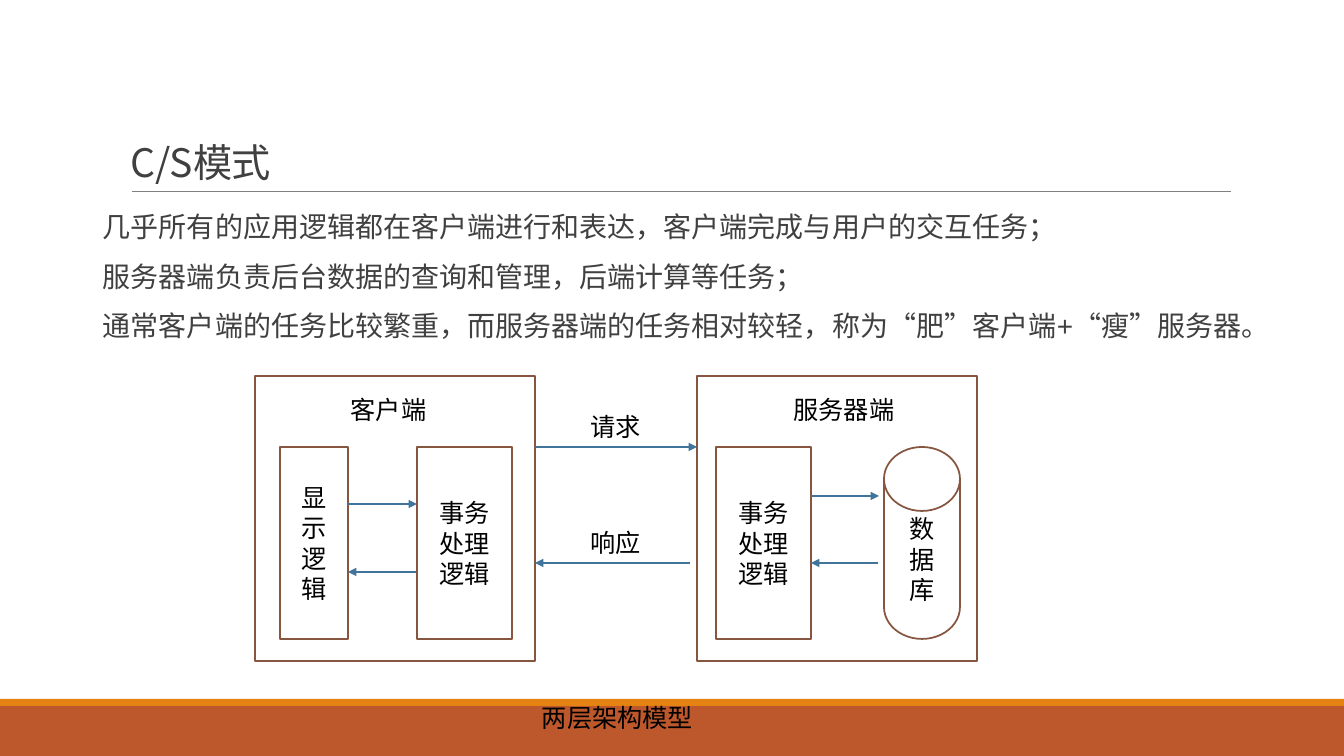
"""Builds the slide on the two-tier C/S model."""
import lxml.etree
import pptx
import pptx.util
import pptx.dml.color
import pptx.enum.shapes
import pptx.enum.text
import pptx.oxml.ns

WIDE, HIGH = 1344, 756
SCALE = 914400 / 100.8
CJK = "Noto Sans CJK SC"
HUES = {"bar": "BD582C", "strip": "E48312", "rule": "808080", "edge": "865640",
        "arrow": "40749B", "text": "404040", "black": "000000", "white": "FFFFFF"}

TITLE = "C/S模式"
BODY = [
    "几乎所有的应用逻辑都在客户端进行和表达，客户端完成与用户的交互任务；",
    "服务器端负责后台数据的查询和管理，后端计算等任务；",
    "通常客户端的任务比较繁重，而服务器端的任务相对较轻，称为“肥”客户端+“瘦”服务器。",
]
BARS = [("bar", 706, 50), ("strip", 699, 7)]
FRAMES = [255, 697]
BOXES = [("显示逻辑", 280, 68, "RECTANGLE"), ("事务处理逻辑", 417, 95, "RECTANGLE"),
         ("事务处理逻辑", 716, 95, "RECTANGLE"),
         ("数\n据\n库", 884, 76, "FLOWCHART_MAGNETIC_DISK")]
ARROWS = [(348, 417, 504), (416, 348, 572), (811, 879, 496),
          (878, 811, 563), (535, 697, 447), (690, 535, 563)]
LABELS = [("客户端", 340, 389, 97), ("服务器端", 783, 389, 122),
          ("请求", 580, 406, 71), ("响应", 580, 522, 71),
          ("两层架构模型", 531, 697, 173)]

deck = pptx.Presentation()
KIND = pptx.enum.shapes.MSO_SHAPE
ALIGN = pptx.enum.text.PP_ALIGN
ANCHOR = pptx.enum.text.MSO_ANCHOR
qn = pptx.oxml.ns.qn


def px(n):
    return pptx.util.Emu(round(n * SCALE))


def hue(name):
    return pptx.dml.color.RGBColor.from_string(HUES[name])


deck.slide_width, deck.slide_height = px(WIDE), px(HIGH)
slide = deck.slides.add_slide(deck.slide_layouts[6])
shapes = slide.shapes


def style(frame, size, color, font=CJK, align=ALIGN.LEFT):
    for para in frame.paragraphs:
        para.alignment = align
        for run in para.runs:
            run.font.size = pptx.util.Pt(size)
            run.font.name = font
            run.font.color.rgb = hue(color)
            props = run.font._element
            props.set("lang", "zh-CN")
            lxml.etree.SubElement(props, qn("a:ea")).set("typeface", CJK)


def block(x, y, w, h, fill, edge=None, kind="RECTANGLE"):
    shape = shapes.add_shape(getattr(KIND, kind), px(x), px(y), px(w), px(h))
    shape.shadow.inherit = False
    shape.fill.solid()
    shape.fill.fore_color.rgb = hue(fill)
    if edge:
        shape.line.color.rgb = hue(edge)
        shape.line.width = pptx.util.Pt(1.25)
    else:
        shape.line.fill.background()
    return shape


def line(x1, x2, y, color, width, head=False):
    link = shapes.add_connector(pptx.enum.shapes.MSO_CONNECTOR.STRAIGHT,
                                px(x1), px(y), px(x2), px(y))
    link.line.color.rgb = hue(color)
    link.line.width = pptx.util.Pt(width)
    props = link._element.spPr
    if head:
        tail = lxml.etree.SubElement(props.find(qn("a:ln")), qn("a:tailEnd"))
        tail.set("type", "triangle")
    lxml.etree.SubElement(props, qn("a:effectLst"))


def words(text, x, y, w, h, wrap=True):
    frame = shapes.add_textbox(px(x), px(y), px(w), px(h)).text_frame
    frame.word_wrap = wrap
    frame.text = text
    return frame


for name, y, h in BARS:
    block(0, y, WIDE, h, name)
line(132, 1231, 191, "rule", 0.5)
for x in FRAMES:
    block(x, 376, 280, 285, "white", "edge")

title = words(TITLE, 121, 31, 1109, 160)
title.vertical_anchor = ANCHOR.BOTTOM
style(title, 28, "text")
title.paragraphs[0].line_spacing = 0.85
title.paragraphs[0].runs[0].font._element.set("spc", "-50")

body = words("\n".join(BODY), 93, 208, 1170, 146)
body.margin_right = 0
style(body, 20, "text", "Arial")
for para in body.paragraphs:
    para.line_spacing = 0.9
    para.space_before = pptx.util.Pt(12)
    para.space_after = pptx.util.Pt(2)

for text, x, w, kind in BOXES:
    frame = block(x, 447, w, 192, "white", "edge", kind).text_frame
    frame.word_wrap = True
    frame.vertical_anchor = ANCHOR.MIDDLE
    frame.text = text
    style(frame, 18, "black", align=ALIGN.CENTER)

for x1, x2, y in ARROWS:
    line(x1, x2, y, "arrow", 1.5, True)
for text, x, y, w in LABELS:
    style(words(text, x, y, w, 40, False), 18, "black", align=ALIGN.CENTER)

deck.save("out.pptx")
